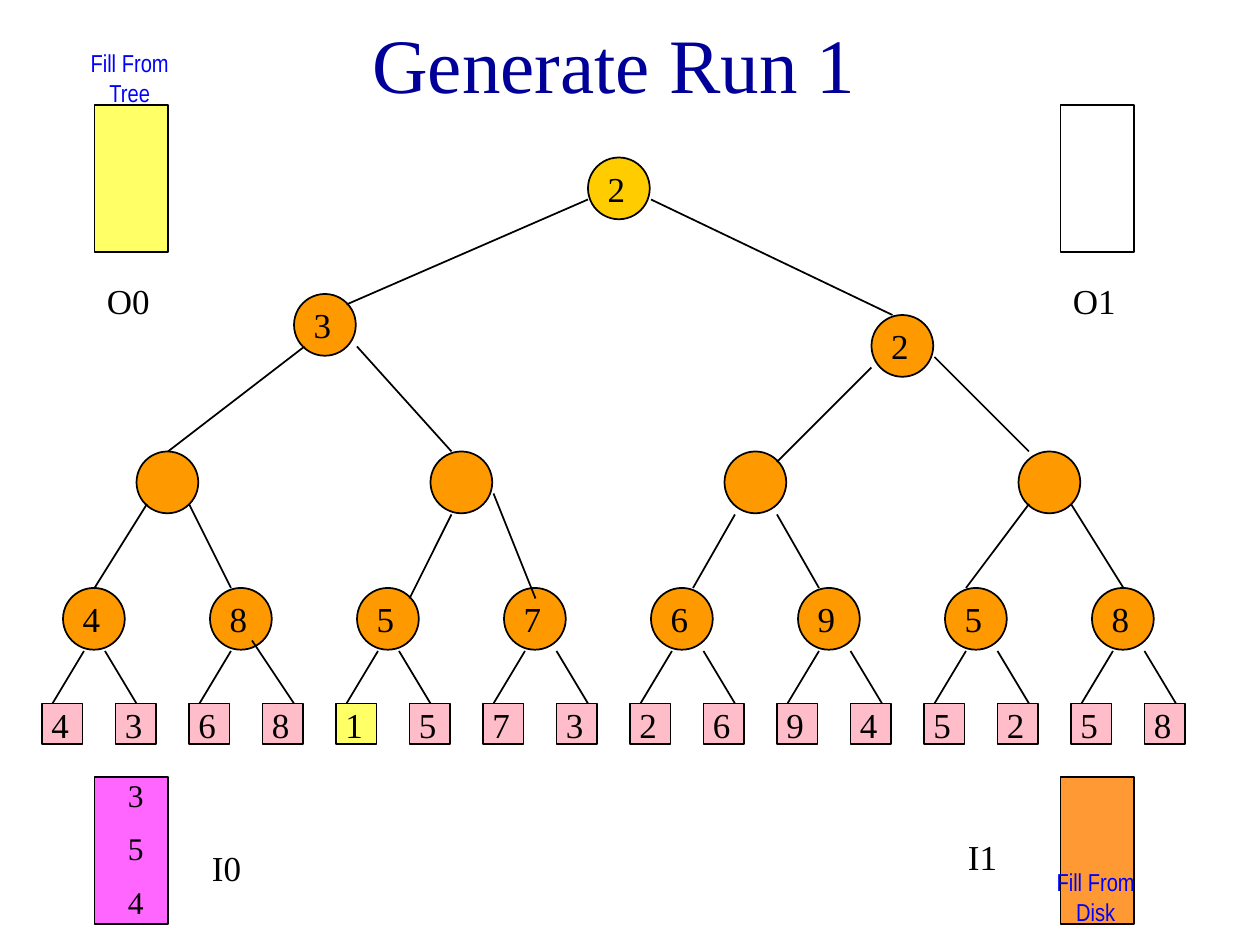
import dataclasses

import pptx
import pptx.dml.color
import pptx.enum.shapes
import pptx.enum.text
import pptx.util
from lxml import etree

STEPS_PER_INCH = 12
CM_PER_STEP = 2.54 / STEPS_PER_INCH


def steps(count):
    return pptx.util.Cm(count * CM_PER_STEP)


def color(value):
    return pptx.dml.color.RGBColor.from_string(value)


@dataclasses.dataclass(frozen=True)
class Theme:
    serif: str = "Times New Roman"
    narrow: str = "Arial Narrow"
    title_size: int = 44
    label_size: int = 20
    queue_size: int = 18
    note_size: int = 14
    title: str = "000099"
    ink: str = "000000"
    note: str = "0000FF"
    node: str = "FF9900"
    winner: str = "FFCC00"
    leaf: str = "FFBDCA"
    active: str = "FFFF66"
    empty: str = "FFFFFF"
    queue: str = "FF66FF"
    disk: str = "FF9933"


class TreeSlide:
    def __init__(self, presentation, theme):
        self.theme = theme
        self.slide = presentation.slides.add_slide(presentation.slide_layouts[0])
        subtitle = self.slide.placeholders[1].element
        subtitle.getparent().remove(subtitle)

    def format_text(self, text_frame, font_name, size, ink, alignment):
        for paragraph in text_frame.paragraphs:
            paragraph.alignment = alignment
            for run in paragraph.runs:
                run.font.name = font_name
                run.font.size = pptx.util.Pt(size)
                run.font.color.rgb = color(ink)

    def title(self, text, left, top, width, height):
        shape = self.slide.shapes.title
        shape.left, shape.top = steps(left), steps(top)
        shape.width, shape.height = steps(width), steps(height)
        shape.text_frame.text = text
        shape.text_frame.vertical_anchor = pptx.enum.text.MSO_ANCHOR.MIDDLE
        self.format_text(shape.text_frame, self.theme.serif, self.theme.title_size,
                         self.theme.title, pptx.enum.text.PP_ALIGN.CENTER)

    def block(self, kind, left, top, width, height, fill):
        shape = self.slide.shapes.add_shape(
            kind, steps(left), steps(top), steps(width), steps(height))
        shape.shadow.inherit = False
        shape.fill.solid()
        shape.fill.fore_color.rgb = color(fill)
        shape.line.color.rgb = color(self.theme.ink)
        shape.line.width = pptx.util.Pt(1)

    def rectangle(self, left, top, width, height, fill):
        self.block(pptx.enum.shapes.MSO_SHAPE.RECTANGLE, left, top, width, height, fill)

    def circle(self, left, top, diameter, fill):
        self.block(pptx.enum.shapes.MSO_SHAPE.OVAL, left, top, diameter, diameter, fill)

    def edge(self, start_x, start_y, end_x, end_y):
        connector = self.slide.shapes.add_connector(
            pptx.enum.shapes.MSO_CONNECTOR.STRAIGHT,
            steps(start_x), steps(start_y), steps(end_x), steps(end_y))
        connector.line.color.rgb = color(self.theme.ink)
        connector.line.width = pptx.util.Pt(1)
        properties = connector.element.spPr
        etree.SubElement(properties, pptx.oxml.ns.qn("a:effectLst"))

    def text_box(self, text, left, top, width, height):
        text_frame = self.slide.shapes.add_textbox(
            steps(left), steps(top), steps(width), steps(height)).text_frame
        text_frame.word_wrap = True
        text_frame.text = text
        return text_frame

    def label(self, text, left, top, width=4.1):
        text_frame = self.text_box(text, left, top, width, 5.2)
        self.format_text(text_frame, self.theme.serif, self.theme.label_size,
                         self.theme.ink, pptx.enum.text.PP_ALIGN.LEFT)

    def note(self, text, left, top):
        text_frame = self.text_box(text, left, top, 10.7, 5)
        self.format_text(text_frame, self.theme.narrow, self.theme.note_size,
                         self.theme.note, pptx.enum.text.PP_ALIGN.CENTER)

    def queue(self, values, left, top):
        text_frame = self.text_box("\n".join(values), left, top, 6, 15.6)
        self.format_text(text_frame, self.theme.serif, self.theme.queue_size,
                         self.theme.ink, pptx.enum.text.PP_ALIGN.LEFT)
        for paragraph in text_frame.paragraphs[1:]:
            paragraph.space_before = pptx.util.Pt(9)


LEAVES = "4368157326945258"
ACTIVE_LEAF = 4
LEAF_TOP, LEAF_SIZE = 67, 3.86
NODE_SIZE = 5.88

NODES = (
    [(6 + 14 * index, 56, value) for index, value in enumerate("48576958")]
    + [(13 + 28 * index, 43, "") for index in range(4)]
    + [(28, 28, "3"), (83, 30, "2"), (56, 15, "2")]
)

UPPER_EDGES = [
    (56, 19, 33, 29), (62, 19, 85, 30),
    (29, 33, 16, 43), (34, 33, 43, 43), (83, 35, 74, 44), (89, 34, 98, 43),
    (14, 48, 9, 56), (18, 48, 22, 56), (43, 49, 39, 57), (47, 47, 51, 57),
    (70, 49, 66, 56), (74, 49, 78, 56), (98, 48, 92, 56), (102, 48, 107, 56),
]
LEFT_LEAF_EDGES = [(8 + x, 62, 5 + x, LEAF_TOP) for x in range(0, 112, 14)]
RIGHT_LEAF_EDGES = (
    [(10, 62, 13, LEAF_TOP), (24, 61, 28, LEAF_TOP), (38, 62, 41, LEAF_TOP)]
    + [(x, 62, x + 3, LEAF_TOP) for x in range(53, 110, 14)]
)


def main():
    theme = Theme()
    presentation = pptx.Presentation()
    presentation.slide_width = pptx.util.Cm(25.4)
    presentation.slide_height = pptx.util.Cm(19.05)
    tree = TreeSlide(presentation, theme)
    tree.title("Generate Run 1", 0, 0, 117, 12)

    for index in range(len(LEAVES)):
        fill = theme.active if index == ACTIVE_LEAF else theme.leaf
        tree.rectangle(4 + 7 * index, LEAF_TOP, LEAF_SIZE, LEAF_SIZE, fill)
    for left, top, value in NODES:
        fill = theme.winner if top == 15 else theme.node
        tree.circle(left, top, NODE_SIZE, fill)
    for ends in UPPER_EDGES + LEFT_LEAF_EDGES + RIGHT_LEAF_EDGES:
        tree.edge(*ends)
    for index, value in enumerate(LEAVES):
        tree.label(value, 3.72 + 7 * index, LEAF_TOP - 0.6)
    for left, top, value in NODES:
        if value:
            tree.label(value, left + 0.7, top + 0.33)

    for left, top, fill, name, name_left, name_top in [
        (9, 10, theme.active, "O0", 9, 26),
        (101, 10, theme.empty, "O1", 101, 26),
        (9, 74, theme.queue, "I0", 19, 80),
        (101, 74, theme.disk, "I1", 91, 79),
    ]:
        tree.rectangle(left, top, 7, 14, fill)
        tree.label(name, name_left, name_top, width=7)

    tree.queue("354", 11, 73.3)
    tree.note("Fill From Disk", 99, 82)
    tree.note("Fill From Tree", 7, 4)
    presentation.save("out.pptx")


if __name__ == "__main__":
    main()
